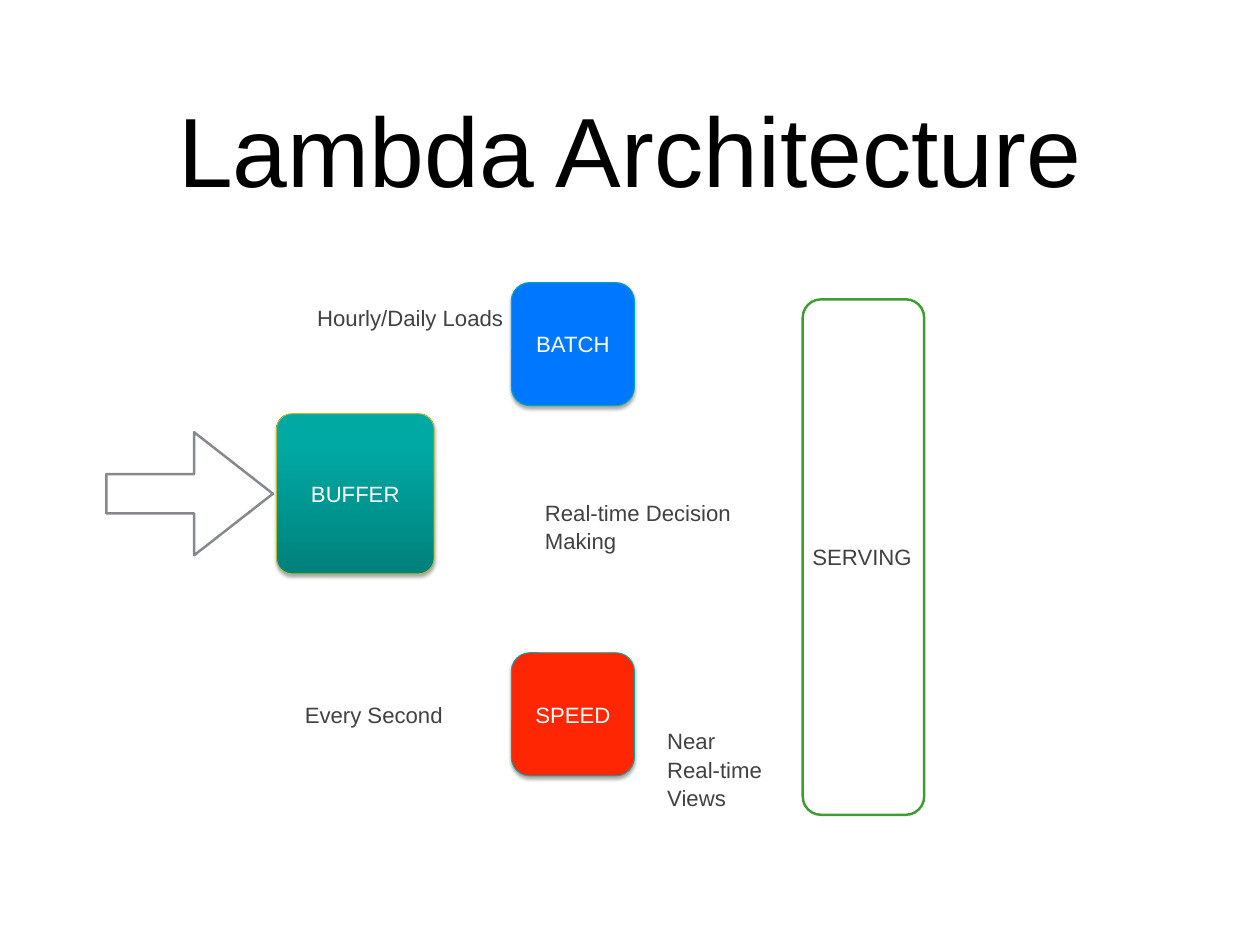
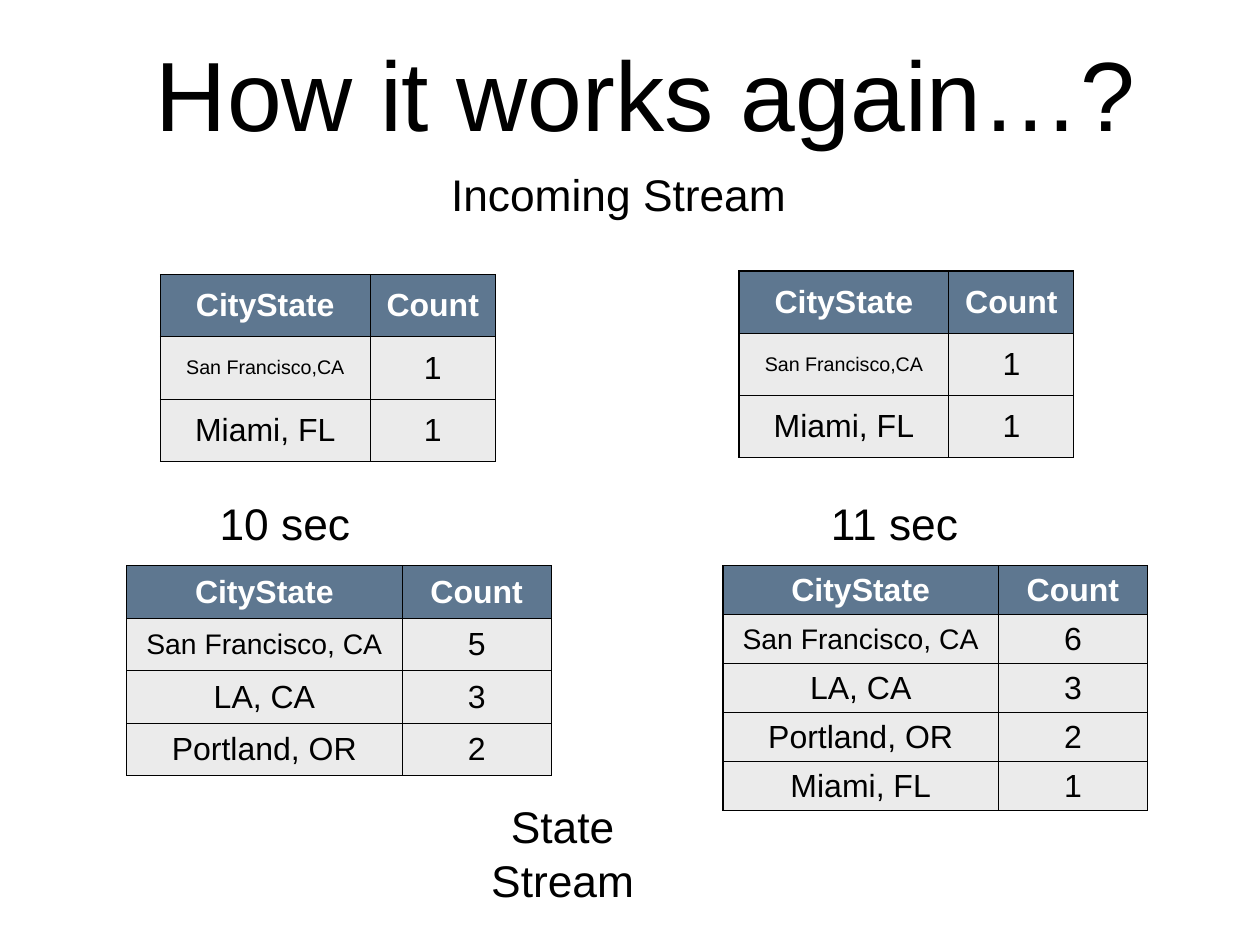
from lxml import etree
from pptx import Presentation
from pptx.dml.color import RGBColor
from pptx.enum.shapes import MSO_SHAPE as Shape
from pptx.enum.text import MSO_ANCHOR as Anchor, PP_ALIGN as Align
from pptx.oxml import parse_xml
from pptx.oxml.ns import nsdecls, qn
from pptx.util import Inches, Pt

FONT = "Arial"
BLACK = RGBColor(0x00, 0x00, 0x00)
WHITE = RGBColor(0xFF, 0xFF, 0xFF)
CHARCOAL = RGBColor(0x41, 0x40, 0x42)
GRAY = RGBColor(0x85, 0x88, 0x8D)
GREEN = RGBColor(0x3F, 0x9C, 0x35)
BLUE = RGBColor(0x00, 0x77, 0xFF)
RED = RGBColor(0xFF, 0x26, 0x04)
TEAL = RGBColor(0x00, 0xAB, 0xA5)
TEAL_LIGHT = RGBColor(0x00, 0xA9, 0xA4)
TEAL_DARK = RGBColor(0x00, 0x81, 0x7C)
OLIVE = RGBColor(0xBB, 0xBB, 0x2E)
HEADER_FILL = RGBColor(0x5E, 0x77, 0x90)
BODY_FILL = RGBColor(0xEB, 0xEB, 0xEB)


def write(frame, lines, size, color, align, anchor, inset, bold=False):
    """Fill a text frame with one paragraph per line."""
    frame.margin_left = frame.margin_right = Inches(inset)
    frame.margin_top = frame.margin_bottom = Inches(inset)
    frame.vertical_anchor = anchor
    for index, line in enumerate(lines):
        para = frame.add_paragraph() if index else frame.paragraphs[0]
        para.alignment = align
        if len(lines) > 1:
            para.line_spacing = 1.06
        span = para.add_run()
        span.text = line
        span.font.name = FONT
        span.font.size = Pt(size)
        span.font.bold = bold
        span.font.color.rgb = color


def add_text(page, area, lines, size, color=BLACK, align=Align.CENTER,
             anchor=Anchor.MIDDLE, inset=0.06, wrap=False):
    """Place a text box."""
    box = page.shapes.add_textbox(*map(Inches, area))
    box.text_frame.word_wrap = wrap
    write(box.text_frame, lines, size, color, align, anchor, inset)


def add_title(page, left, top, title):
    """Place the slide title."""
    add_text(page, (left, top, 12.14, 2.36), [title], 80, inset=0, wrap=True)


def add_label(page, area, *lines):
    """Place a diagram label."""
    add_text(page, area, lines, 18, CHARCOAL, Align.LEFT, Anchor.TOP, 0)


def add_outline(page, kind, area, adjustments, line, width):
    """Draw an unfilled preset shape without shadow."""
    shape = page.shapes.add_shape(kind, *map(Inches, area))
    for index, value in enumerate(adjustments):
        shape.adjustments[index] = value
    shape.shadow.inherit = False
    shape.fill.background()
    shape.line.color.rgb = line
    shape.line.width = Pt(width)
    return shape


def add_block(page, area, radius, name, line, fill=None):
    """Draw a shadowed rounded block, teal gradient unless a fill is given."""
    block = add_outline(page, Shape.ROUNDED_RECTANGLE, area, [radius], line, 0.75)
    if fill is None:
        block.fill.gradient()
        block.fill.gradient_angle = 90
        start, end = block.fill.gradient_stops
        start.color.rgb, end.color.rgb = TEAL_DARK, TEAL_LIGHT
        start.position, end.position = 0, 0.8
    else:
        block.fill.solid()
        block.fill.fore_color.rgb = fill
    effects = block.element.spPr.find(qn("a:effectLst"))
    effects.append(parse_xml(
        f'<a:outerShdw {nsdecls("a")} blurRad="{Pt(3)}" dist="{Pt(1.8)}" '
        'dir="5400000" rotWithShape="0"><a:srgbClr val="000000">'
        '<a:alpha val="35000"/></a:srgbClr></a:outerShdw>'))
    write(block.text_frame, [name], 18, WHITE, Align.CENTER, Anchor.MIDDLE, 0.05)


def add_borders(cell):
    """Give a cell thin black borders."""
    properties = cell._tc.get_or_add_tcPr()
    for side in ("lnL", "lnR", "lnT", "lnB"):
        border = etree.SubElement(properties, qn(f"a:{side}"), w=str(Pt(1)))
        fill = etree.SubElement(border, qn("a:solidFill"))
        etree.SubElement(fill, qn("a:srgbClr"), val=str(BLACK))


def add_counts(page, left, top, widths, height, city_size, counts):
    """Add a table of counts by city; the first city has its own size."""
    rows = [("CityState", "Count"), *counts]
    table = page.shapes.add_table(
        len(rows), 2, Inches(left), Inches(top),
        Inches(sum(widths)), Inches(height)).table
    for column, width in zip(table.columns, widths):
        column.width = Inches(width)
    for r, values in enumerate(rows):
        table.rows[r].height = Inches(height / len(rows))
        for c, value in enumerate(values):
            cell = table.cell(r, c)
            add_borders(cell)
            cell.fill.solid()
            cell.fill.fore_color.rgb = BODY_FILL if r else HEADER_FILL
            size = city_size if (r, c) == (1, 0) else 26
            write(cell.text_frame, [value], size, BLACK if r else WHITE,
                  Align.CENTER, Anchor.MIDDLE, 0.06, bold=r == 0)
            cell.vertical_anchor = Anchor.MIDDLE
            cell.margin_left = cell.margin_right = Inches(0.06)
            cell.margin_top = cell.margin_bottom = Inches(0.06)


def build_architecture(page):
    """Draw the Lambda Architecture diagram."""
    add_title(page, 1.04, 0.49, "Lambda Architecture")
    add_outline(page, Shape.RIGHT_ARROW, (1.2, 4.88, 1.88, 1.39),
                [0.32, 0.64], GRAY, 2)
    add_block(page, (3.12, 4.67, 1.78, 1.81), 0.1, "BUFFER", OLIVE)
    for top, name, fill in ((3.19, "BATCH", BLUE), (7.37, "SPEED", RED)):
        add_block(page, (5.77, top, 1.39, 1.39), 0.15, name, TEAL, fill)
    serving = add_outline(page, Shape.ROUNDED_RECTANGLE,
                          (9.06, 3.38, 1.37, 5.82), [0.15], GREEN, 2)
    serving.fill.solid()
    serving.fill.fore_color.rgb = WHITE
    write(serving.text_frame, ["SERVING"], 18, CHARCOAL,
          Align.LEFT, Anchor.MIDDLE, 0.05)
    add_label(page, (3.58, 3.44, 2.11, 0.31), "Hourly/Daily Loads")
    add_label(page, (3.44, 7.92, 1.57, 0.31), "Every Second")
    add_label(page, (7.53, 8.2, 1.15, 0.92), "Near", "Real-time", "Views")
    add_label(page, (6.15, 5.62, 2.18, 0.61), "Real-time Decision", "Making")


def build_streams(page):
    """Show the incoming stream and the state stream as tables."""
    add_title(page, 1.22, -0.14, "How it works again…?")
    add_text(page, (5.02, 1.83, 3.92, 0.71), ["Incoming Stream"], 36)
    incoming = [("San Francisco,CA", "1"), ("Miami, FL", "1")]
    for left, top in ((1.81, 3.1), (8.34, 3.06)):
        add_counts(page, left, top, (2.37, 1.41), 2.11, 16, incoming)
    for left, moment in ((2.4, "10 sec"), (9.28, "11 sec")):
        add_text(page, (left, 5.55, 1.63, 0.71), [moment], 36)
    others = [("LA, CA", "3"), ("Portland, OR", "2")]
    before = [("San Francisco, CA", "5"), *others]
    after = [("San Francisco, CA", "6"), *others, ("Miami, FL", "1")]
    for left, state in ((1.43, before), (8.16, after)):
        add_counts(page, left, 6.39, (3.11, 1.68), 2.37, 23, state)
    add_text(page, (5.45, 9, 1.8, 1.26), ["State Stream"], 36, wrap=True)


def main():
    """Build and save the deck."""
    deck = Presentation()
    deck.slide_width, deck.slide_height = Inches(14.22), Inches(10.67)
    for build in (build_architecture, build_streams):
        build(deck.slides.add_slide(deck.slide_layouts[6]))
    deck.save("out.pptx")


if __name__ == "__main__":
    main()
